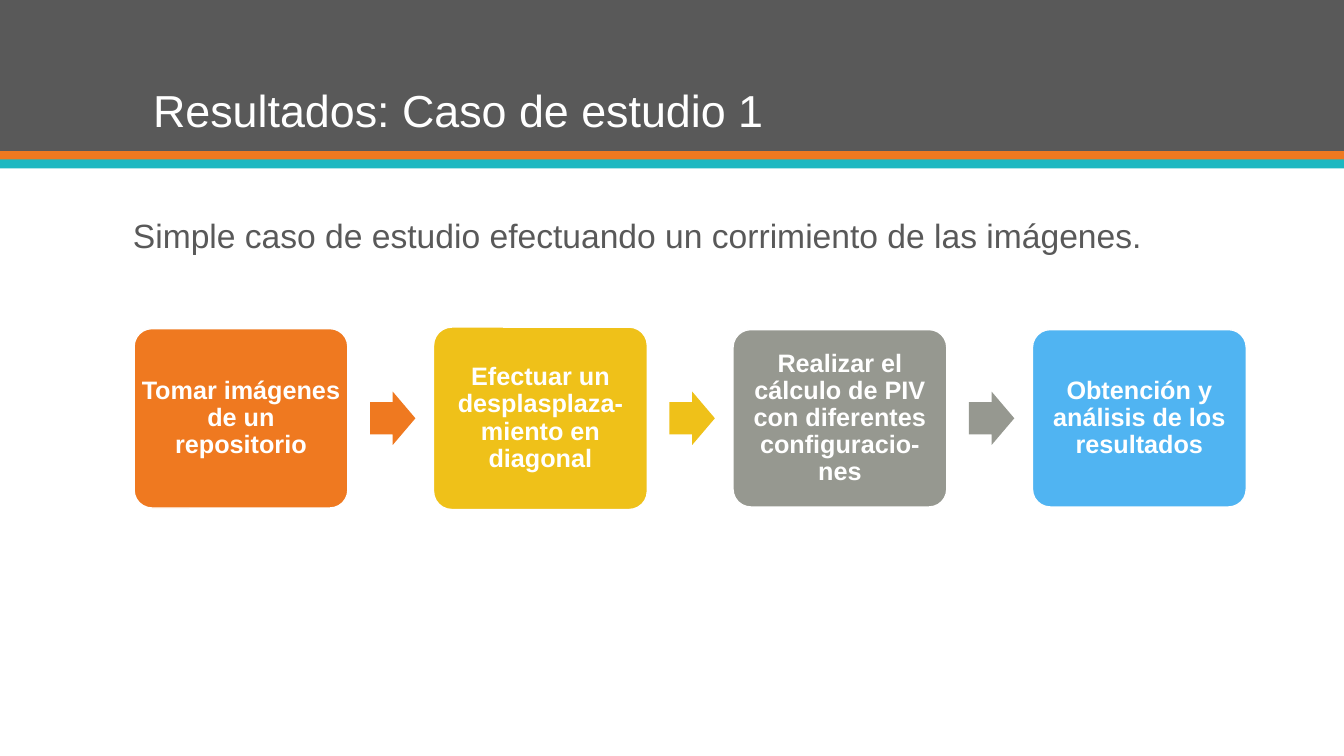
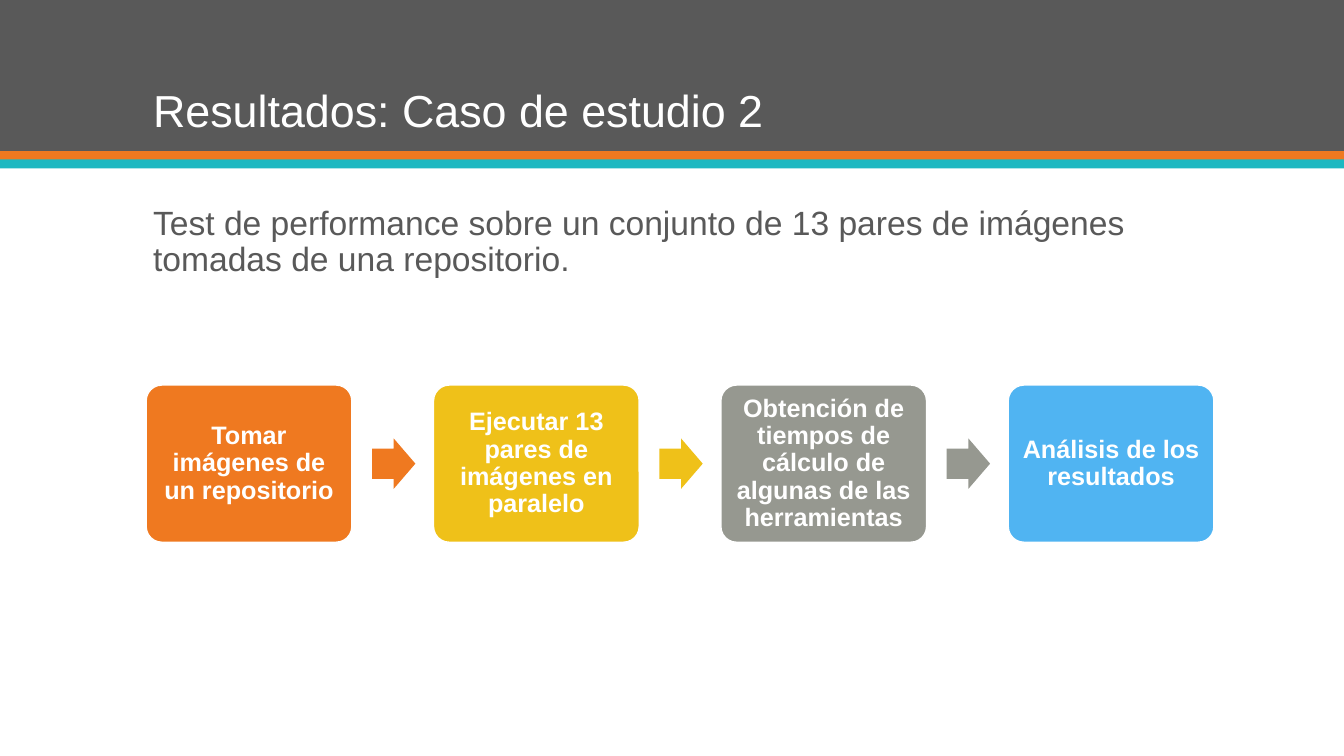
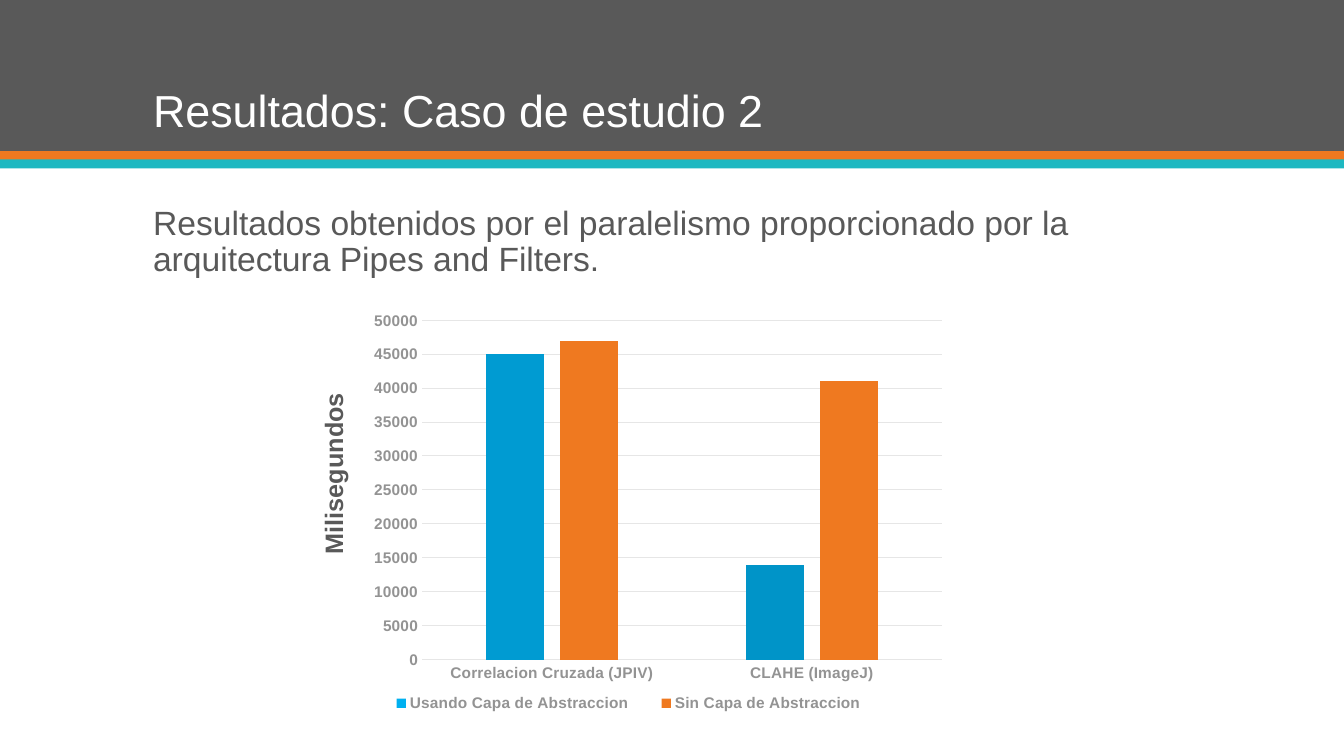
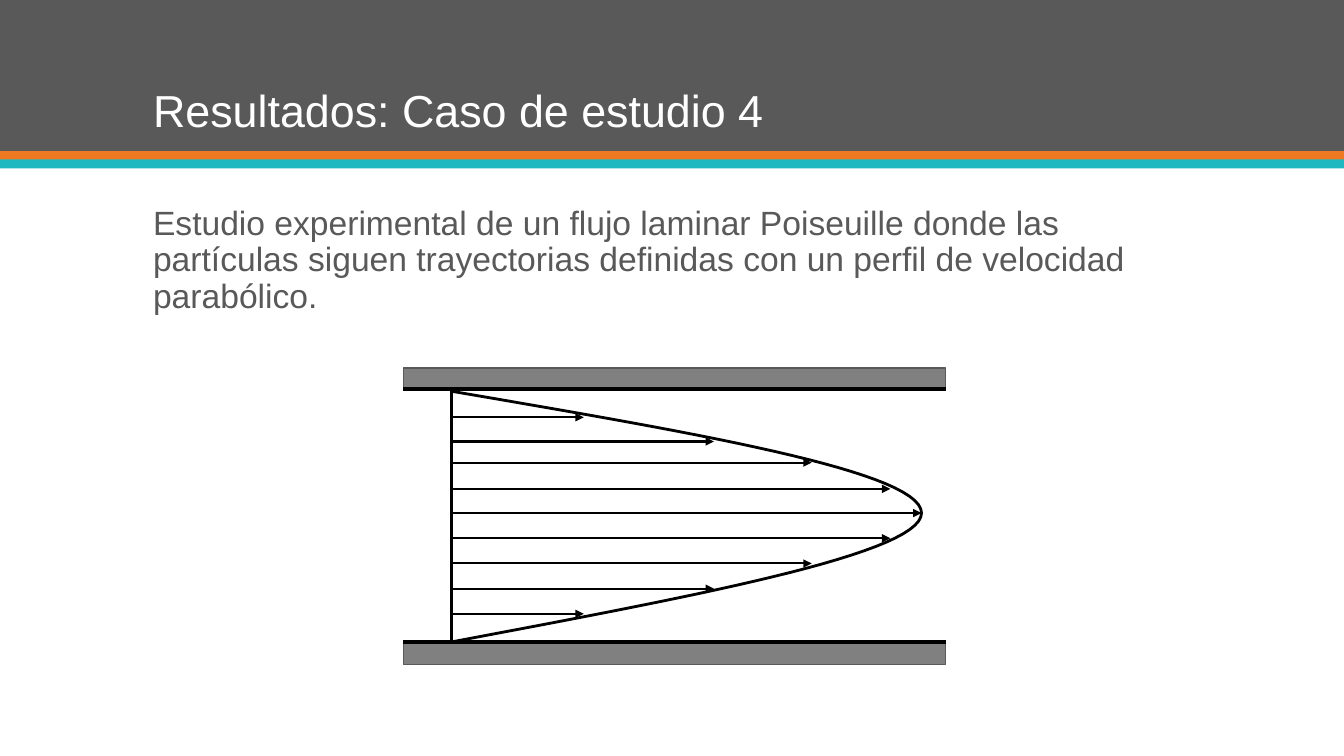
import pptx
import pptx.util
import pptx.dml.color
import pptx.chart.data
import pptx.enum.chart
import pptx.enum.shapes
import pptx.enum.text
import pptx.oxml
import pptx.oxml.ns
import lxml.etree

Inches = pptx.util.Inches
Pt = pptx.util.Pt
RGB = pptx.dml.color.RGBColor
SHAPE = pptx.enum.shapes.MSO_SHAPE
ANCHOR = pptx.enum.text.MSO_ANCHOR
ALIGN = pptx.enum.text.PP_ALIGN
qn = pptx.oxml.ns.qn

FONT = "Arial"
WHITE = RGB(0xFF, 0xFF, 0xFF)
BLACK = RGB(0, 0, 0)
DARK = RGB(0x59, 0x59, 0x59)
GRAY = RGB(0x80, 0x80, 0x80)
LABEL = RGB(0x93, 0x93, 0x93)
GRID = RGB(0xE6, 0xE6, 0xE6)
ORANGE = RGB(0xEF, 0x79, 0x20)
TEAL = RGB(0x1E, 0xB8, 0xC1)
YELLOW = RGB(0xEF, 0xC1, 0x19)
STONE = RGB(0x96, 0x98, 0x90)
SKY = RGB(0x50, 0xB4, 0xF2)
CYAN = RGB(0x00, 0xB0, 0xF0)
BLUES = [RGB(0x00, 0x9B, 0xD2), RGB(0x00, 0x94, 0xC8)]


def draw(slide, kind, box, fill, line=None):
    shape = slide.shapes.add_shape(kind, *map(Inches, box))
    shape.shadow.inherit = False
    shape.fill.solid()
    shape.fill.fore_color.rgb = fill
    if line is None:
        shape.line.fill.background()
    else:
        shape.line.color.rgb = line
        shape.line.width = Pt(1)
    return shape


def write(shape, text, size, color, bold=False, anchor=ANCHOR.TOP, align=ALIGN.LEFT):
    frame = shape.text_frame
    frame.word_wrap = True
    frame.vertical_anchor = anchor
    para = frame.paragraphs[0]
    para.text = text
    para.alignment = align
    para.line_spacing = 0.9
    para.font.name = FONT
    para.font.size = Pt(size)
    para.font.bold = bold
    para.font.color.rgb = color
    return frame


deck = pptx.Presentation()
deck.slide_width = Inches(13.33)
deck.slide_height = Inches(7.5)

pages = [
    (1, 1.22, 2.13, "Simple caso de estudio efectuando un corrimiento de las imágenes."),
    (2, 1.42, 2, "Test de performance sobre un conjunto de 13 pares de imágenes "
                 "tomadas de una repositorio."),
    (2, 1.42, 2, "Resultados obtenidos por el paralelismo proporcionado por la "
                 "arquitectura Pipes and Filters."),
    (4, 1.42, 2, "Estudio experimental de un flujo laminar Poiseuille donde las partículas "
                 "siguen trayectorias definidas con un perfil de velocidad parabólico."),
]
bands = [(0, 1.5, DARK), (1.5, 0.09, ORANGE), (1.58, 0.09, TEAL)]
slides = []
for case, left, top, body in pages:
    slide = deck.slides.add_slide(deck.slide_layouts[6])
    slides.append(slide)
    for y, high, color in bands:
        draw(slide, SHAPE.RECTANGLE, (0, y, 13.33, high), color)
    title = slide.shapes.add_textbox(*map(Inches, (1.42, 0.28, 10.5, 1.13)))
    write(title, f"Resultados: Caso de estudio {case}", 32, WHITE, anchor=ANCHOR.BOTTOM)
    box = slide.shapes.add_textbox(*map(Inches, (left, top, 10.5, 0.97)))
    write(box, body, 24, DARK)

colors = [ORANGE, YELLOW, STONE, SKY]
flows = [
    (slides[0], 1.33, 4.15, 2.97, 2.12, (1.78, 1.81, 1.76, 1.76), 0.01, 0.22, 0.45, 0.53, [
        "Tomar imágenes de un repositorio",
        "Efectuar un desplasplaza- miento en diagonal",
        "Realizar el cálculo de PIV con diferentes configuracio- nes",
        "Obtención y análisis de los resultados"]),
    (slides[1], 1.45, 4.6, 2.85, 2.04, (1.56,) * 4, 0.05, 0.2, 0.43, 0.5, [
        "Tomar imágenes de un repositorio",
        "Ejecutar 13 pares de imágenes en paralelo",
        "Obtención de tiempos de cálculo de algunas de las herramientas",
        "Análisis de los resultados"]),
]
for slide, left, mid, step, wide, highs, pad, gap, span, tall, texts in flows:
    for i, (text, high, color) in enumerate(zip(texts, highs, colors)):
        x = left + i * step
        card = draw(slide, SHAPE.ROUNDED_RECTANGLE, (x, mid - high / 2, wide, high), color, WHITE)
        card.adjustments[0] = 0.1
        frame = write(card, text, 18, WHITE, True, ANCHOR.MIDDLE, ALIGN.CENTER)
        frame.margin_left = frame.margin_right = Inches(pad)
        frame.margin_top = frame.margin_bottom = Inches(0.01)
        if i < len(texts) - 1:
            spot = (x + wide + gap, mid - tall / 2, span, tall)
            arrow = draw(slide, SHAPE.RIGHT_ARROW, spot, color)
            arrow.adjustments[0] = 0.6
            arrow.adjustments[1] = 0.5

slide = slides[2]
data = pptx.chart.data.CategoryChartData()
data.categories = ["Correlacion Cruzada (JPIV)", "CLAHE (ImageJ)"]
data.add_series("Usando Capa de Abstraccion", (45000, 14000))
data.add_series("Sin Capa de Abstraccion", (47000, 41000))
chart = slide.shapes.add_chart(
    pptx.enum.chart.XL_CHART_TYPE.COLUMN_CLUSTERED,
    *map(Inches, (2.93, 2.95, 6.61, 4.55)), data).chart
chart.has_title = False
chart.has_legend = True
chart.legend.position = pptx.enum.chart.XL_LEGEND_POSITION.BOTTOM
chart.legend.include_in_layout = False

cats, vals = chart.category_axis, chart.value_axis
for font in (chart.font, chart.legend.font, cats.tick_labels.font, vals.tick_labels.font):
    font.name = FONT
    font.size = Pt(11)
    font.bold = True
    font.color.rgb = LABEL
chart.font.color.rgb = DARK
for axis in (cats, vals):
    axis.major_tick_mark = pptx.enum.chart.XL_TICK_MARK.NONE
    axis.minor_tick_mark = pptx.enum.chart.XL_TICK_MARK.NONE
vals.minimum_scale = 0
vals.maximum_scale = 50000
vals.major_unit = 5000
vals.has_major_gridlines = True
vals.format.line.fill.background()
for line in (cats.format.line, vals.major_gridlines.format.line):
    line.color.rgb = GRID
    line.width = Pt(0.75)

plot = chart.plots[0]
plot.vary_by_categories = False
plot.gap_width = 219
plot.overlap = -27
for series, color in zip(plot.series, (CYAN, ORANGE)):
    series.format.fill.solid()
    series.format.fill.fore_color.rgb = color
for i, color in enumerate(BLUES):
    fill = plot.series[0].points[i].format.fill
    fill.solid()
    fill.fore_color.rgb = color

root = chart._chartSpace.chart
places = [(root.plotArea, 0, "inner", (0.19, 0.05, 0.78, 0.74)),
          (root.find(qn("c:legend")), 1, None, (0.11, 0.85, 0.78, 0.07))]
for area, index, target, box in places:
    for old in area.findall(qn("c:layout")):
        area.remove(old)
    layout = lxml.etree.Element(qn("c:layout"))
    area.insert(index, layout)
    manual = lxml.etree.SubElement(layout, qn("c:manualLayout"))
    marks = [("layoutTarget", target)] if target else []
    marks += [("xMode", "edge"), ("yMode", "edge"), *zip("xywh", map(str, box))]
    for tag, value in marks:
        lxml.etree.SubElement(manual, qn("c:" + tag)).set("val", value)

unit = slide.shapes.add_textbox(*map(Inches, (2.4, 4.49, 1.81, 0.4)))
unit.rotation = 270
frame = write(unit, "Milisegundos", 18, DARK, True)
frame.word_wrap = False
frame.paragraphs[0].line_spacing = 1

slide = slides[3]
for y in (3.65, 6.37):
    draw(slide, SHAPE.RECTANGLE, (4, y, 5.38, 0.22), GRAY, DARK)

lines = [(4, 3.86, 9.38, 3.86, 2.5, False),
         (4, 6.37, 9.38, 6.37, 2.5, False),
         (4.48, 3.86, 4.48, 6.37, 2, False)]
rows = (4.14, 4.38, 4.59, 4.85, 5.09, 5.34, 5.59, 5.84, 6.09)
ends = (5.79, 7.08, 8.05, 8.83, 9.14, 8.83, 8.05, 7.08, 5.79)
lines += [(4.49, y, end, y, 1.5, True) for y, end in zip(rows, ends)]
for x1, y1, x2, y2, width, head in lines:
    line = slide.shapes.add_connector(
        pptx.enum.shapes.MSO_CONNECTOR.STRAIGHT, *map(Inches, (x1, y1, x2, y2)))
    line.line.color.rgb = BLACK
    line.line.width = Pt(width)
    if head:
        lxml.etree.SubElement(line.line._get_or_add_ln(), qn("a:tailEnd")).set("type", "triangle")
    lxml.etree.SubElement(line._element.spPr, qn("a:effectLst"))

curves = [((4.47, 3.88), (6.8, 4.28), (9.14, 4.67), (9.14, 5.09)),
          ((9.14, 5.09), (9.14, 5.5), (6.8, 5.93), (4.47, 6.37))]
points = []
for curve in curves:
    for i in range(1, 31):
        t = i / 30
        parts = ((1 - t) ** 3, 3 * t * (1 - t) ** 2, 3 * t * t * (1 - t), t ** 3)
        points.append([Inches(sum(k * p[n] for k, p in zip(parts, curve))) for n in (0, 1)])
path = slide.shapes.build_freeform(*map(Inches, curves[0][0]))
path.add_line_segments(points, close=False)
bow = path.convert_to_shape()
bow.shadow.inherit = False
bow.fill.background()
bow.line.color.rgb = BLACK
bow.line.width = Pt(2)

deck.save("out.pptx")
